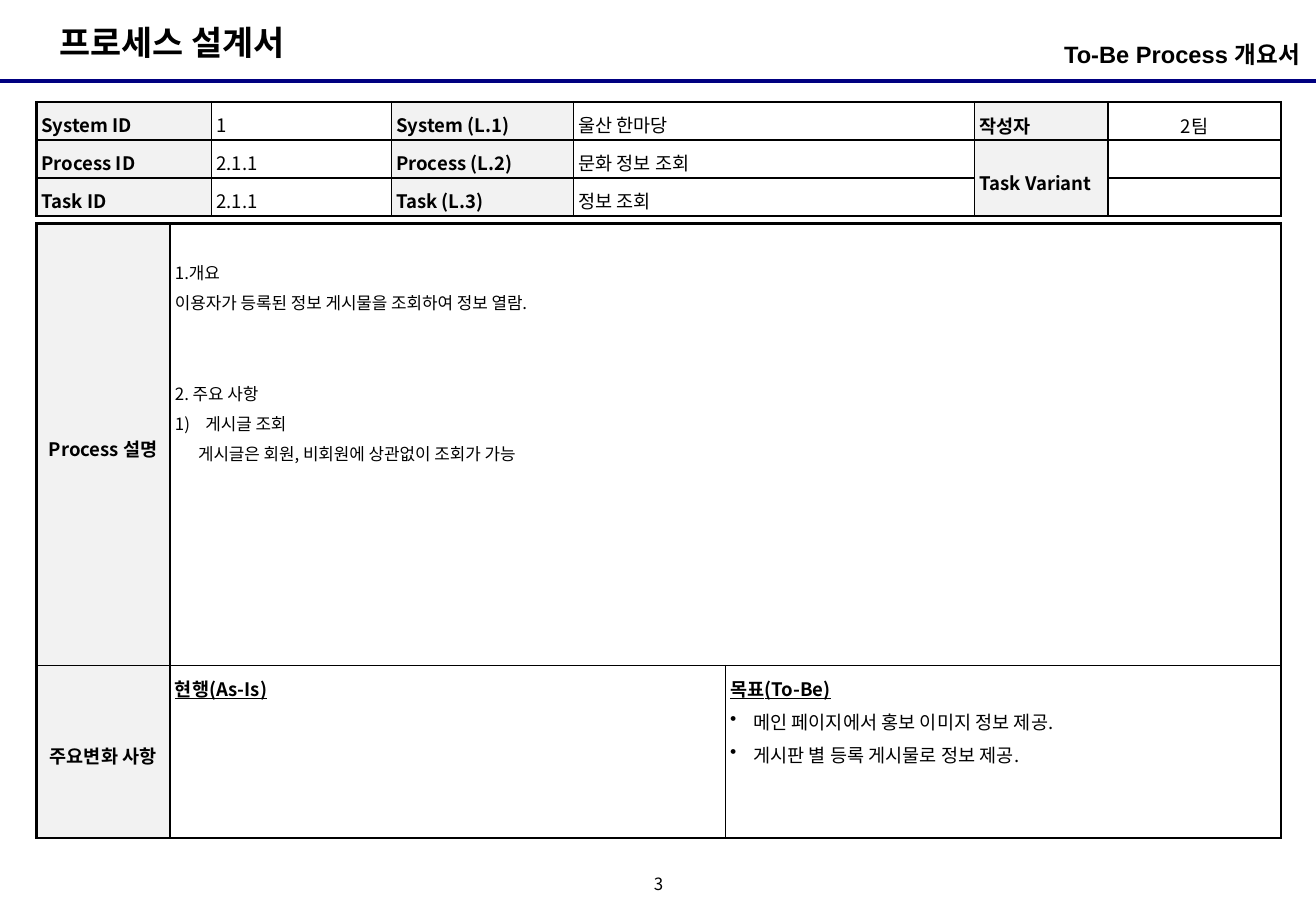
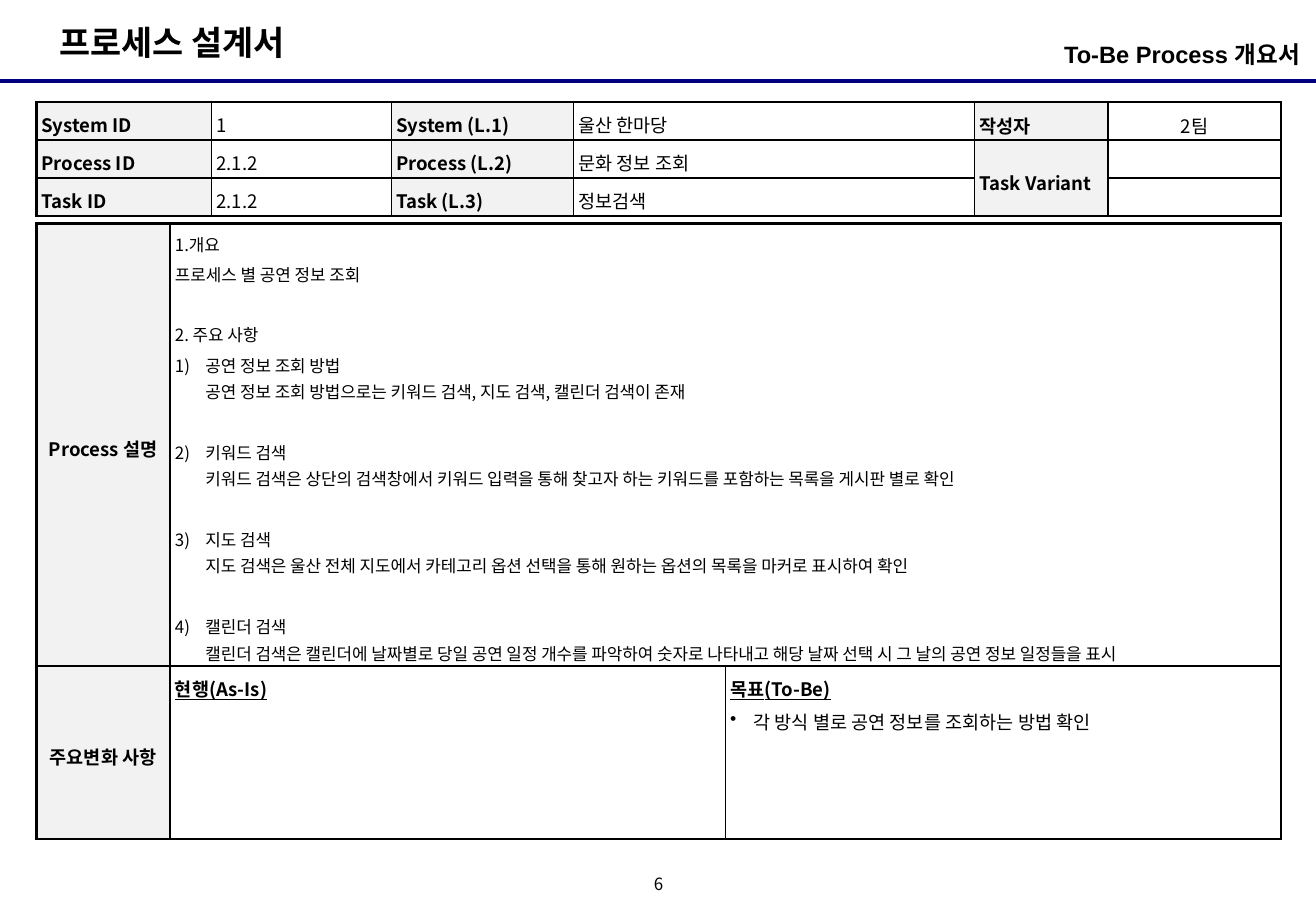
import dataclasses

import lxml.etree
import pptx
import pptx.dml.color
import pptx.enum.shapes
import pptx.enum.text
import pptx.oxml.ns
import pptx.util

Inches = pptx.util.Inches
Align = pptx.enum.text.PP_ALIGN
Anchor = pptx.enum.text.MSO_ANCHOR
qn = pptx.oxml.ns.qn


@dataclasses.dataclass(frozen=True)
class Theme:
    """Colours, fonts and type sizes shared by every slide."""

    ink: str = "000000"
    rule: str = "000080"
    label: str = "F2F2F2"
    paper: str = "FFFFFF"
    font: str = "Noto Sans CJK KR"
    header_font: str = "Arial"
    title: float = 20
    header: float = 14
    table: float = 11
    body: float = 10
    outer: float = 1.5
    inner: float = 1
    line_gap: float = 2
    section_gap: float = 18


THEME = Theme()

PAGES = [
    dict(
        number="3", code="2.1.1", task="정보 조회", top=0.28,
        story=[
            dict(text="1.개요"),
            dict(text="이용자가 등록된 정보 게시물을 조회하여 정보 열람."),
            dict(text="2. 주요 사항", gaps=2),
            dict(text="게시글 조회", number=1),
            dict(text="게시글은 회원, 비회원에 상관없이 조회가 가능", indent=0.19),
        ],
        goals=["메인 페이지에서 홍보 이미지 정보 제공.", "게시판 별 등록 게시물로 정보 제공."],
    ),
    dict(
        number="6", code="2.1.2", task="정보검색", top=0.05,
        story=[
            dict(text="1.개요"),
            dict(text="프로세스 별 공연 정보 조회"),
            dict(text="2. 주요 사항", gaps=1),
            dict(text="공연 정보 조회 방법", number=1),
            dict(text="공연 정보 조회 방법으로는 키워드 검색, 지도 검색, 캘린더 검색이 존재",
                 indent=0.25, before=0),
            dict(text="키워드 검색", number=2, gaps=1),
            dict(text="키워드 검색은 상단의 검색창에서 키워드 입력을 통해 찾고자 하는 키워드를 "
                      "포함하는 목록을 게시판 별로 확인", indent=0.25, before=0),
            dict(text="지도 검색", number=3, gaps=1),
            dict(text="지도 검색은 울산 전체 지도에서 카테고리 옵션 선택을 통해 원하는 옵션의 "
                      "목록을 마커로 표시하여 확인", indent=0.25, before=0),
            dict(text="캘린더 검색", number=4, gaps=1),
            dict(text="캘린더 검색은 캘린더에 날짜별로 당일 공연 일정 개수를 파악하여 숫자로 "
                      "나타내고 해당 날짜 선택 시 그 날의 공연 정보 일정들을 표시",
                 indent=0.25, before=0),
        ],
        goals=["각 방식 별로 공연 정보를 조회하는 방법 확인"],
    ),
]


def color(value):
    """Turn a hex string into a colour."""
    return pptx.dml.color.RGBColor.from_string(value)


def write(frame, text, size=THEME.table, bold=False, underline=False, font=THEME.font,
          align=Align.LEFT, spacing=1.1, before=THEME.line_gap, gaps=0, indent=0,
          number=None, bullet=None):
    """Put one formatted paragraph at the end of a text frame."""
    first = not frame.text
    para = frame.paragraphs[0] if first else frame.add_paragraph()
    props = para._p.get_or_add_pPr()
    if number or bullet:
        indent = 0.25 if number else 0.19
        props.set("indent", str(-Inches(indent)))
    if indent:
        props.set("marL", str(Inches(indent)))
    if number:
        lxml.etree.SubElement(props, qn("a:buAutoNum"), type="arabicParenR", startAt=str(number))
    if bullet:
        lxml.etree.SubElement(props, qn("a:buChar"), char=bullet)
    para.alignment = align
    para.line_spacing = spacing
    para.space_before = pptx.util.Pt(0 if first else before + gaps * THEME.section_gap)
    if not text:
        lxml.etree.SubElement(para._p, qn("a:endParaRPr"), sz=str(int(size * 100)))
        return
    span = para.add_run()
    span.text = text
    span.font.size = pptx.util.Pt(size)
    span.font.bold = bold
    span.font.underline = underline
    span.font.color.rgb = color(THEME.ink)
    span.font.name = font
    lxml.etree.SubElement(span._r.get_or_add_rPr(), qn("a:ea"), typeface=THEME.font)


def set_frame(frame, insets, anchor, wrap):
    """Set the insets (left, top, right, bottom), anchor and wrapping of a frame."""
    frame.auto_size = pptx.enum.text.MSO_AUTO_SIZE.NONE
    frame.word_wrap = wrap
    frame.vertical_anchor = anchor
    (frame.margin_left, frame.margin_top,
     frame.margin_right, frame.margin_bottom) = map(Inches, insets)


def add_text(page, box, text, insets, anchor=Anchor.TOP, wrap=True, **style):
    """Add a text box with one paragraph."""
    frame = page.shapes.add_textbox(*map(Inches, box)).text_frame
    set_frame(frame, insets, anchor, wrap)
    write(frame, text, **style)


def style_cell(cell, edges, fill):
    """Set the insets, the four borders (L, R, T, B) and the fill of a cell."""
    cell.margin_left = cell.margin_right = Inches(0.04)
    cell.margin_top, cell.margin_bottom = Inches(0.05), Inches(0.01)
    props = cell._tc.get_or_add_tcPr()
    for side, outer in zip("LRTB", edges):
        width = pptx.util.Pt(THEME.outer if outer else THEME.inner)
        line = lxml.etree.SubElement(props, qn(f"a:ln{side}"), w=str(width))
        solid = lxml.etree.SubElement(line, qn("a:solidFill"))
        lxml.etree.SubElement(solid, qn("a:srgbClr"), val=THEME.ink)
    cell.fill.solid()
    cell.fill.fore_color.rgb = color(fill)


def add_grid(page, box, widths, heights, merge, labels):
    """Add a framed table, with one merged range and shaded label cells."""
    rows, columns = len(heights), len(widths)
    table = page.shapes.add_table(rows, columns, *map(Inches, box)).table
    table.first_row = table.horz_banding = False
    for column, width in zip(table.columns, widths):
        column.width = Inches(width)
    for row, height in zip(table.rows, heights):
        row.height = Inches(height)
    start, end = merge
    table.cell(*start).merge(table.cell(*end))
    for r in range(rows):
        for c in range(columns):
            cell = table.cell(r, c)
            edges = (c == 0, c + cell.span_width == columns,
                     r == 0, r + cell.span_height == rows)
            style_cell(cell, edges, THEME.label if c in labels else THEME.paper)
    return table


def add_identity(page, box, code, task):
    """Add the table that identifies the system, process and task."""
    height = box[3] / 3
    table = add_grid(page, box, [1.44, 1.48, 1.5, 3.3, 1.1, 1.42], [height] * 3,
                     ((1, 4), (2, 4)), labels=(0, 2, 4))
    rows = [
        ["System ID", "1", "System (L.1)", "울산 한마당", "작성자", "2팀"],
        ["Process ID", code, "Process (L.2)", "문화 정보 조회", "Task Variant", ""],
        ["Task ID", code, "Task (L.3)", task, "", ""],
    ]
    for r, texts in enumerate(rows):
        for c, text in enumerate(texts):
            cell = table.cell(r, c)
            if c >= 4:
                cell.vertical_anchor = Anchor.MIDDLE
            write(cell.text_frame, text, bold=c in (0, 2, 4),
                  align=Align.CENTER if c == 5 else Align.LEFT)


def add_description(page, box, story, goals, top):
    """Add the table with the process description and the main changes."""
    label_width, label_height = 1.1, 1.42
    half = (box[2] - label_width) / 2
    table = add_grid(page, box, [label_width, half, half],
                     [box[3] - label_height, label_height], ((0, 1), (0, 2)), labels=(0,))
    for r, text in enumerate(["Process 설명", "주요변화 사항"]):
        table.cell(r, 0).vertical_anchor = Anchor.MIDDLE
        write(table.cell(r, 0).text_frame, text, bold=True, align=Align.CENTER)
    table.cell(0, 1).margin_top = Inches(top)
    for item in story:
        write(table.cell(0, 1).text_frame, size=THEME.body, **item)
    for c, text in enumerate(["현행(As-Is)", "목표(To-Be)"], 1):
        write(table.cell(1, c).text_frame, text, bold=True, underline=True)
    for goal in goals:
        write(table.cell(1, 2).text_frame, goal, bullet="•")


def add_frame(page, width, number):
    """Add the title, header, rule and page number that all slides share."""
    rule = page.shapes.add_connector(pptx.enum.shapes.MSO_CONNECTOR.STRAIGHT,
                                     0, Inches(0.67), Inches(width), Inches(0.67))
    rule.line.color.rgb = color(THEME.rule)
    rule.line.width = pptx.util.Pt(2.25)
    lxml.etree.SubElement(rule._element.spPr, qn("a:effectLst"))
    title = page.shapes.title
    title.left, title.top, title.width, title.height = map(Inches, (0.39, 0.13, 2.26, 0.44))
    set_frame(title.text_frame, (0.1, 0.05, 0.1, 0.05), Anchor.TOP, False)
    write(title.text_frame, "프로세스 설계서", size=THEME.title, bold=True, spacing=1.0)
    add_text(page, (width - 3.44, 0.28, 3.31, 0.39), "To-Be Process 개요서",
             (0, 0.05, 0, 0.05), size=THEME.header, bold=True, font=THEME.header_font,
             align=Align.RIGHT, spacing=1.0)
    add_text(page, (width / 2 - 0.16, 7.17, 0.33, 0.25), number, (0, 0, 0, 0),
             anchor=Anchor.MIDDLE, wrap=False, size=THEME.body, align=Align.CENTER, spacing=0.8)


def main():
    """Build and save the deck."""
    deck = pptx.Presentation()
    width = 10.83
    deck.slide_width, deck.slide_height = Inches(width), Inches(7.5)
    for data in PAGES:
        page = deck.slides.add_slide(deck.slide_layouts[5])
        add_frame(page, width, data["number"])
        add_identity(page, (0.3, 0.84, 10.24, 0.94), data["code"], data["task"])
        add_description(page, (0.3, 1.84, 10.24, 5.06), data["story"], data["goals"], data["top"])
    deck.save("out.pptx")


if __name__ == "__main__":
    main()
